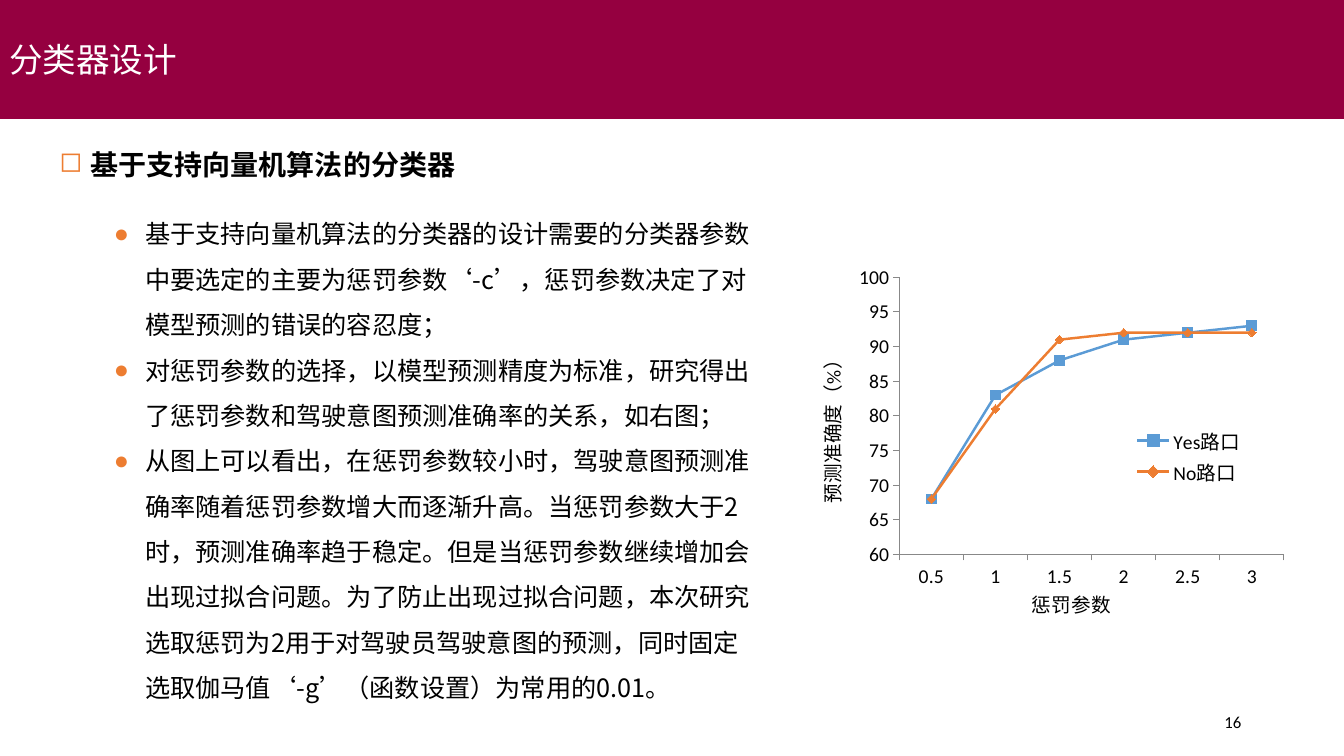
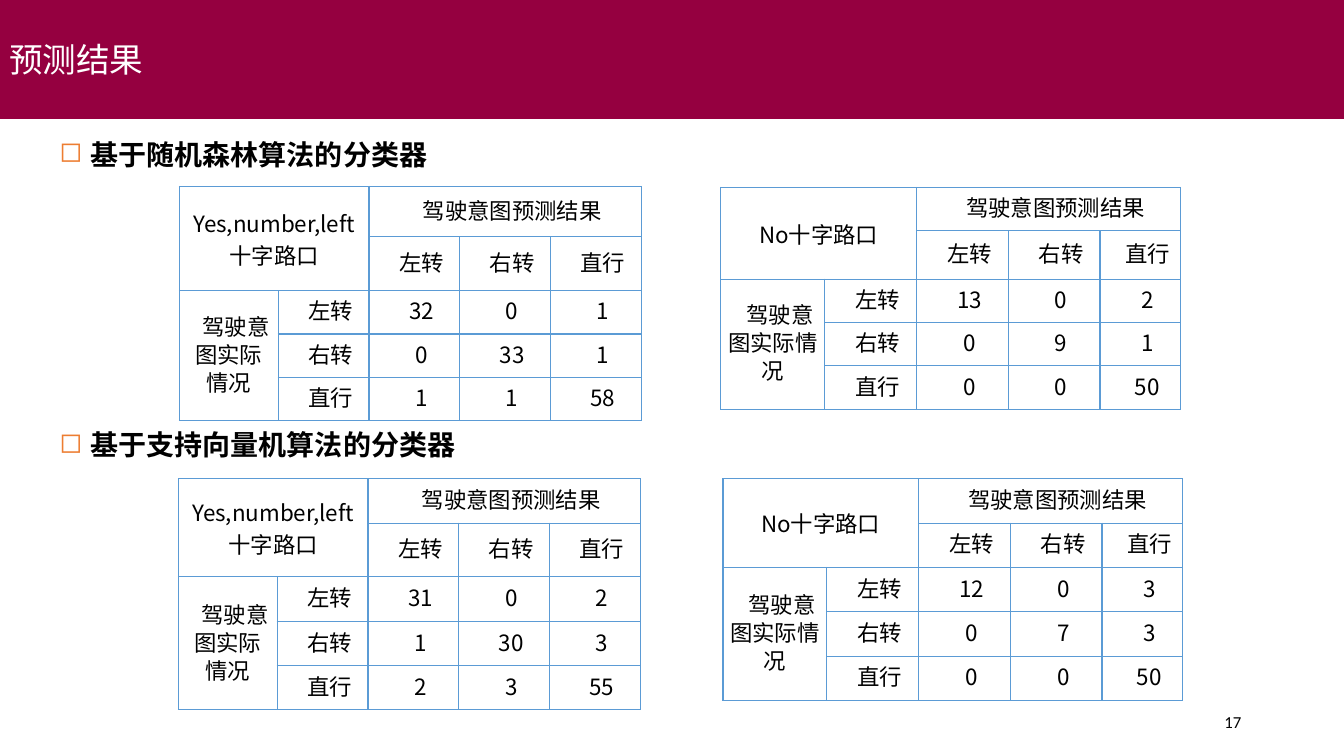
from pptx import Presentation
from pptx.chart.data import CategoryChartData
from pptx.dml.color import RGBColor
from pptx.enum.chart import XL_CHART_TYPE, XL_LEGEND_POSITION, XL_MARKER_STYLE, XL_TICK_MARK
from pptx.enum.text import MSO_ANCHOR, MSO_AUTO_SIZE, PP_ALIGN
from pptx.oxml import parse_xml
from pptx.oxml.ns import nsdecls
from pptx.util import Inches, Pt

LINE_MARKERS = XL_CHART_TYPE.LINE_MARKERS
LEGEND_RIGHT = XL_LEGEND_POSITION.RIGHT
SQUARE, DIAMOND = XL_MARKER_STYLE.SQUARE, XL_MARKER_STYLE.DIAMOND
TICK_OUT = XL_TICK_MARK.OUTSIDE
MIDDLE = MSO_ANCHOR.MIDDLE
NO_FIT = MSO_AUTO_SIZE.NONE
LEFT, CENTER, RIGHT = PP_ALIGN.LEFT, PP_ALIGN.CENTER, PP_ALIGN.RIGHT

CRIMSON = RGBColor(0x95, 0x00, 0x40)
BLUE = RGBColor(0x5B, 0x9B, 0xD5)
ORANGE = RGBColor(0xED, 0x7D, 0x31)
GRAY = RGBColor(0x88, 0x88, 0x88)
BLACK = RGBColor(0, 0, 0)
WHITE = RGBColor(255, 255, 255)

CJK = "Noto Sans CJK SC"
LATIN = "Calibri"
TITLE = {"size": Pt(24), "name": CJK, "bold": False}
HEADING = {"size": Pt(20), "name": CJK, "bold": True}
BODY = {"size": Pt(18), "name": CJK}
CELL = {"size": Pt(16), "name": CJK}
NUMBER = {"size": Pt(12), "name": LATIN}
AXIS = {"size": Pt(14), "name": LATIN, "bold": False}


def write(p, text, formats, color=BLACK, align=LEFT, bullet=None):
    p.alignment = align
    r = p.add_run()
    r.text = text
    r.font.color.rgb = color
    for name, value in formats.items():
        setattr(r.font, name, value)
    r.font._element.append(parse_xml(f'<a:ea {nsdecls("a")} typeface="{CJK}"/>'))
    if bullet:
        pPr = p._p.get_or_add_pPr()
        pPr.set("marL", str(Inches(0.31)))
        pPr.set("indent", str(-Inches(0.31)))
        pPr.append(parse_xml(f'<a:buClr {nsdecls("a")}><a:srgbClr val="{ORANGE}"/></a:buClr>'))
        pPr.append(parse_xml(f'<a:buChar {nsdecls("a")} char="{bullet}"/>'))


def add_box(s, left, top, width, height, text, formats, align=LEFT, bullet=None):
    tf = s.shapes.add_textbox(Inches(left), Inches(top), Inches(width), Inches(height)).text_frame
    tf.word_wrap = True
    tf.vertical_anchor = MIDDLE
    write(tf.paragraphs[0], text, formats, align=align, bullet=bullet)


prs = Presentation()
prs.slide_width, prs.slide_height = Inches(13.33), Inches(7.5)

# Title band, page number and headings of each slide
SVM = "基于支持向量机算法的分类器"
pages = [
    (1, "分类器设计", "16", [(1.41, SVM)]),
    (5, "预测结果", "17", [(1.31, "基于随机森林算法的分类器"), (4.19, SVM)]),
]
for layout, title, number, headings in pages:
    s = prs.slides.add_slide(prs.slide_layouts[layout])
    band = s.shapes.title
    band.left, band.top, band.width, band.height = Inches(-0.01), 0, Inches(13.35), Inches(1.18)
    band.fill.solid()
    band.fill.fore_color.rgb = CRIMSON
    tf = band.text_frame
    tf.auto_size = NO_FIT
    tf.vertical_anchor = MIDDLE
    write(tf.paragraphs[0], title, TITLE, WHITE)
    add_box(s, 9.41, 6.96, 3, 0.4, number, NUMBER, RIGHT)
    for top, text in headings:
        add_box(s, 0.49, top, 4.32, 0.44, text, HEADING, bullet="◻")

design, results = prs.slides

# Classifier design: bullet list
points = [
    "基于支持向量机算法的分类器的设计需要的分类器参数中要选定的主要为惩罚参数‘-c’，"
    "惩罚参数决定了对模型预测的错误的容忍度；",
    "对惩罚参数的选择，以模型预测精度为标准，研究得出了惩罚参数和驾驶意图预测准确率的关系，如右图；",
    "从图上可以看出，在惩罚参数较小时，驾驶意图预测准确率随着惩罚参数增大而逐渐升高。"
    "当惩罚参数大于2时，预测准确率趋于稳定。但是当惩罚参数继续增加会出现过拟合问题。"
    "为了防止出现过拟合问题，本次研究选取惩罚为2用于对驾驶员驾驶意图的预测，"
    "同时固定选取伽马值‘-g’（函数设置）为常用的0.01。",
]
body = design.placeholders[1]
body.left, body.top, body.width, body.height = Inches(1.03), Inches(1.97), Inches(6.57), Inches(5.1)
tf = body.text_frame
tf.auto_size = NO_FIT
for i, text in enumerate(points):
    p = tf.add_paragraph() if i else tf.paragraphs[0]
    p.line_spacing = 1.5
    p.space_before = Pt(0)
    write(p, text, BODY, bullet="●")

# Classifier design: accuracy chart
data = CategoryChartData()
data.categories = ["0.5", "1", "1.5", "2", "2.5", "3"]
data.add_series("Yes路口", [68, 83, 88, 91, 92, 93])
data.add_series("No路口", [68, 81, 91, 92, 92, 92])
chart = design.shapes.add_chart(
    LINE_MARKERS, Inches(8.05), Inches(2.57), Inches(4.83), Inches(3.62), data).chart
chart.has_title = False
chart.font.size, chart.font.name = AXIS["size"], AXIS["name"]
chart.font.color.rgb = BLACK
chart.has_legend = True
chart.legend.position = LEGEND_RIGHT
chart.legend.include_in_layout = False

for axis, text in [(chart.category_axis, "惩罚参数"), (chart.value_axis, "预测准确度（%）")]:
    axis.has_major_gridlines = False
    axis.major_tick_mark = TICK_OUT
    axis.format.line.color.rgb = GRAY
    write(axis.axis_title.text_frame.paragraphs[0], text, AXIS, align=CENTER)
value_axis = chart.value_axis
value_axis.minimum_scale, value_axis.maximum_scale, value_axis.major_unit = 60, 100, 5
bodyPr = value_axis.axis_title.text_frame._txBody.bodyPr
bodyPr.set("rot", "-5400000")
bodyPr.set("vert", "horz")

plot = chart.plots[0]
plot.vary_by_categories = False
for series, color, style, size in zip(plot.series, (BLUE, ORANGE), (SQUARE, DIAMOND), (7, 6)):
    series.smooth = False
    series.format.line.color.rgb = color
    series.format.line.width = Pt(1.75)
    series.marker.style, series.marker.size = style, size
    series.marker.format.fill.solid()
    series.marker.format.fill.fore_color.rgb = color
    series.marker.format.line.color.rgb = color

areas = [("plotArea", 0, '<c:layoutTarget val="inner"/>', (0.18, 0.05, 0.79, 0.76)),
         ("legend", 1, "", (0.65, 0.45, 0.25, 0.18))]
for tag, index, target, fractions in areas:
    area = chart._chartSpace.xpath(f"c:chart/c:{tag}")[0]
    for old in area.xpath("c:layout"):
        area.remove(old)
    modes = '<c:xMode val="edge"/><c:yMode val="edge"/>'
    sizes = "".join(f'<c:{n} val="{v}"/>' for n, v in zip("xywh", fractions))
    area.insert(index, parse_xml(
        f'<c:layout {nsdecls("c")}><c:manualLayout>{target}{modes}{sizes}</c:manualLayout></c:layout>'))

# Prediction results: four confusion tables
TURNS = ["左转", "右转", "直行"]
YES, NO = "Yes,number,left十字路口", "No十字路口"
YES_COLS, NO_COLS = [0.98, 0.9, 0.9, 0.9, 0.9], [1.03, 0.91, 0.91, 0.91, 0.8]
EVEN_ROWS = [0.44] * 5
tables = [
    (1.78, 1.85, YES, YES_COLS, [0.5] + [0.43] * 4, [(32, 0, 1), (0, 33, 1), (1, 1, 58)]),
    (7.15, 1.86, NO, NO_COLS, [0.43, 0.48] + [0.43] * 3, [(13, 0, 2), (0, 9, 1), (0, 0, 50)]),
    (1.77, 4.75, YES, YES_COLS, EVEN_ROWS, [(31, 0, 2), (1, 30, 3), (2, 3, 55)]),
    (7.17, 4.75, NO, NO_COLS, EVEN_ROWS, [(12, 0, 3), (0, 7, 3), (0, 0, 50)]),
]
for left, top, corner, cols, rows, counts in tables:
    table = results.shapes.add_table(5, 5, Inches(left), Inches(top),
                                     Inches(sum(cols)), Inches(sum(rows))).table
    table.first_row = table.horz_banding = False
    for column, width in zip(table.columns, cols):
        column.width = Inches(width)
    for row, height in zip(table.rows, rows):
        row.height = Inches(height)
    table.cell(0, 0).merge(table.cell(1, 1))
    table.cell(0, 2).merge(table.cell(0, 4))
    table.cell(2, 0).merge(table.cell(4, 0))

    texts = [[corner, "", "驾驶意图预测结果", "", ""], ["", "", *TURNS]]
    for i, (turn, values) in enumerate(zip(TURNS, counts)):
        texts.append(["" if i else "驾驶意图实际情况", turn, *map(str, values)])
    for i, line in enumerate(texts):
        for j, text in enumerate(line):
            cell = table.cell(i, j)
            cell.vertical_anchor = MIDDLE
            cell.margin_left = cell.margin_right = Inches(0.07)
            cell.margin_top = cell.margin_bottom = 0
            cell.fill.background()
            tcPr = cell._tc.get_or_add_tcPr()
            for k, side in enumerate("LRTB"):
                tcPr.insert(k, parse_xml(
                    f'<a:ln{side} {nsdecls("a")} w="{Pt(1)}"><a:solidFill>'
                    f'<a:srgbClr val="{BLUE}"/></a:solidFill></a:ln{side}>'))
            if text:
                p = cell.text_frame.paragraphs[0]
                write(p, text, CELL, align=CENTER)
                if text != corner:
                    p.line_spacing = Pt(20)
                    p._p.get_or_add_pPr().set("indent", str(Inches(0.14)))

prs.save("out.pptx")
